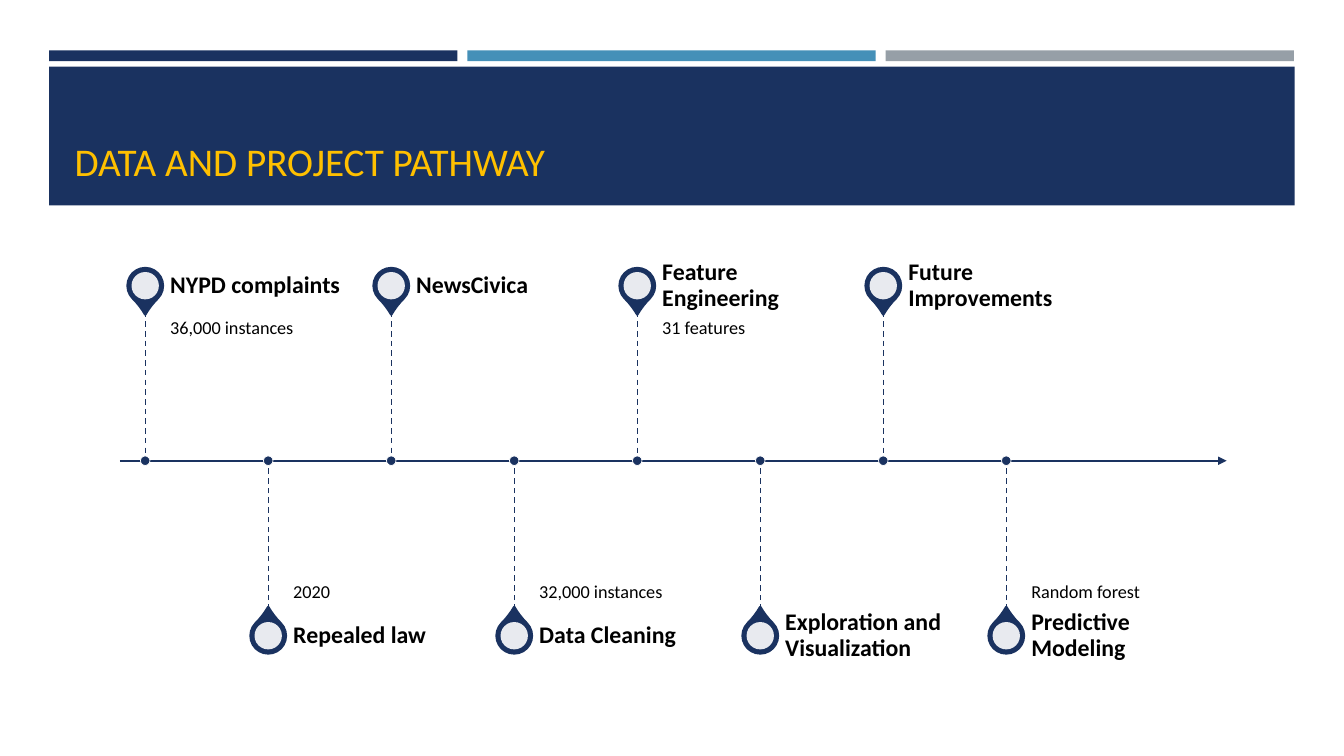
"""Builds the project pathway slide: a timeline with alternating pins."""
from lxml.etree import SubElement as Sub
from pptx import Presentation
from pptx.dml.color import RGBColor as Rgb
from pptx.enum.dml import MSO_LINE_DASH_STYLE as Dash
from pptx.enum.shapes import MSO_CONNECTOR as Link, MSO_SHAPE as Kind
from pptx.enum.text import MSO_ANCHOR as Anchor
from pptx.oxml.ns import qn
from pptx.shapes.connector import Connector
from pptx.util import Cm, Pt

colors = {"navy": "1A3260", "blue": "4590B8", "gray": "969FA7",
          "gold": "FFC000", "black": "000000", "white": "FFFFFF"}


def draw(kind, x, y, w, h, fill, edge=None, weight=1):
    shape = slide.shapes.add_shape(kind, Cm(x), Cm(y), Cm(w), Cm(h))
    shape.shadow.inherit = False
    shape.fill.solid()
    shape.fill.fore_color.rgb = Rgb.from_string(colors[fill])
    if edge:
        shape.line.color.rgb = Rgb.from_string(colors[edge])
        shape.line.width = Pt(weight)
    else:
        shape.line.fill.background()
    return shape


def write(text, x, y, w, h, size, color="black", bold=False,
          anchor=Anchor.MIDDLE, pads=(0, 0, 0.3, 0), space=0.9):
    frame = slide.shapes.add_textbox(Cm(x), Cm(y), Cm(w), Cm(h)).text_frame
    frame.word_wrap = True
    frame.vertical_anchor = anchor
    frame.margin_left, frame.margin_top, frame.margin_right, frame.margin_bottom = map(Cm, pads)
    para = frame.paragraphs[0]
    para.line_spacing = space
    run = para.add_run()
    run.text = text
    run.font.name = "Calibri"
    run.font.size = Pt(size)
    run.font.bold = bold
    run.font.color.rgb = Rgb.from_string(colors[color])


deck = Presentation()
deck.slide_width, deck.slide_height = Cm(33.87), Cm(19.05)
slide = deck.slides.add_slide(deck.slide_layouts[6])

for i, color in enumerate(("navy", "blue", "gray")):
    draw(Kind.RECTANGLE, 1.24 + 10.54 * i, 1.27, 10.29, 0.27, color)
draw(Kind.RECTANGLE, 1.24, 1.68, 31.39, 3.5, "navy")
write("DATA AND PROJECT PATHWAY", 1.63, 2.03, 30.63, 2.74, 28, color="gold",
      anchor=Anchor.BOTTOM, pads=(0.25, 0.13, 0.25, 0.13), space=1)

mid, reach, stem = 11.61, 4.41, 3.76
pin, hole, dot = 0.89, 0.69, 0.24
axis = slide.shapes.add_connector(Link.STRAIGHT, Cm(3.02), Cm(mid), Cm(30.91), Cm(mid))
axis.line.color.rgb = Rgb.from_string(colors["navy"])
axis.line.width = Pt(1.5)
Sub(axis.line._get_or_add_ln(), qn("a:tailEnd"), type="triangle")

steps = [
    ("NYPD complaints", "36,000 instances"),
    ("Repealed law", "2020"),
    ("NewsCivica", ""),
    ("Data Cleaning", "32,000 instances"),
    ("Feature Engineering", "31 features"),
    ("Exploration and Visualization", ""),
    ("Future Improvements", ""),
    ("Predictive Modeling", "Random forest"),
]
for i, (name, note) in enumerate(steps):
    x = 3.66 + 3.1 * i
    above = i % 2 == 0
    side = -1 if above else 1
    y = mid + side * reach

    drop = draw(Kind.TEAR, x - pin / 2, y - pin / 2, pin, pin, "navy", "navy", 1.75)
    drop.adjustments[0] = 1.15
    drop.rotation = 135 if above else 315
    disc = draw(Kind.OVAL, x - hole / 2, y - hole / 2, hole, hole, "white")
    tint = disc.fill._xPr.find(".//" + qn("a:srgbClr"))
    Sub(tint, qn("a:alpha"), val="90000")

    if note:
        write(note, x + 0.63, mid - stem if above else mid, 4.95, stem, 13,
              anchor=Anchor.TOP if above else Anchor.BOTTOM,
              pads=(0, 0.23, 0.23, 0.36) if above else (0, 0.36, 0, 0.23))
    write(name, x + 0.63, y - 0.66, 4.95, 1.32, 17, bold=True)

    line = slide.shapes.add_connector(Link.STRAIGHT, Cm(x), Cm(mid + side * stem), Cm(x), Cm(mid))
    line.line.color.rgb = Rgb.from_string(colors["navy"])
    line.line.width = Pt(1)
    line.line.dash_style = Dash.DASH
    draw(Kind.OVAL, x - dot / 2, mid - dot / 2, dot, dot, "navy", "white", 0.5)

for shape in slide.shapes:
    if isinstance(shape, Connector):
        Sub(shape._element.spPr, qn("a:effectLst"))

deck.save("out.pptx")
